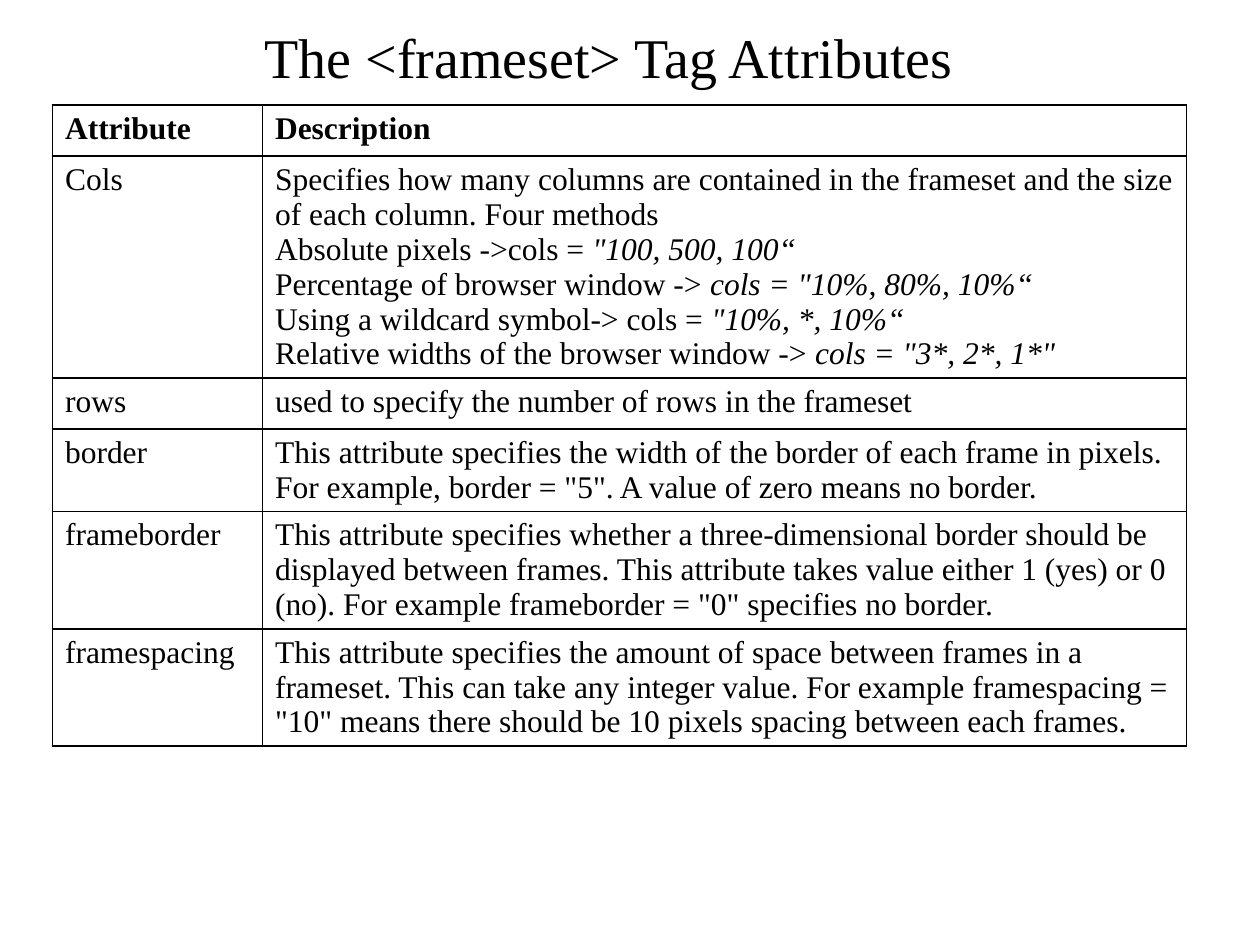
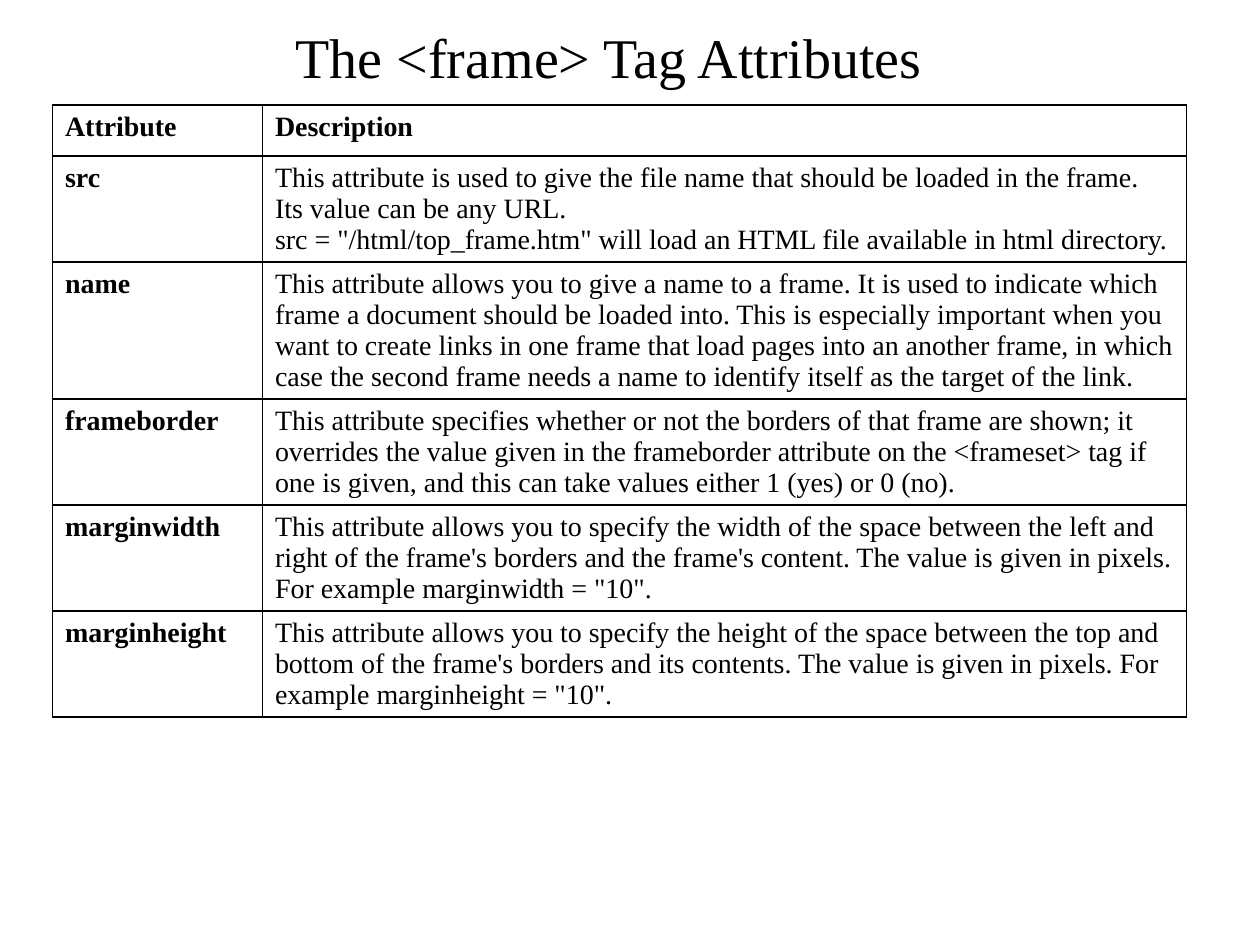
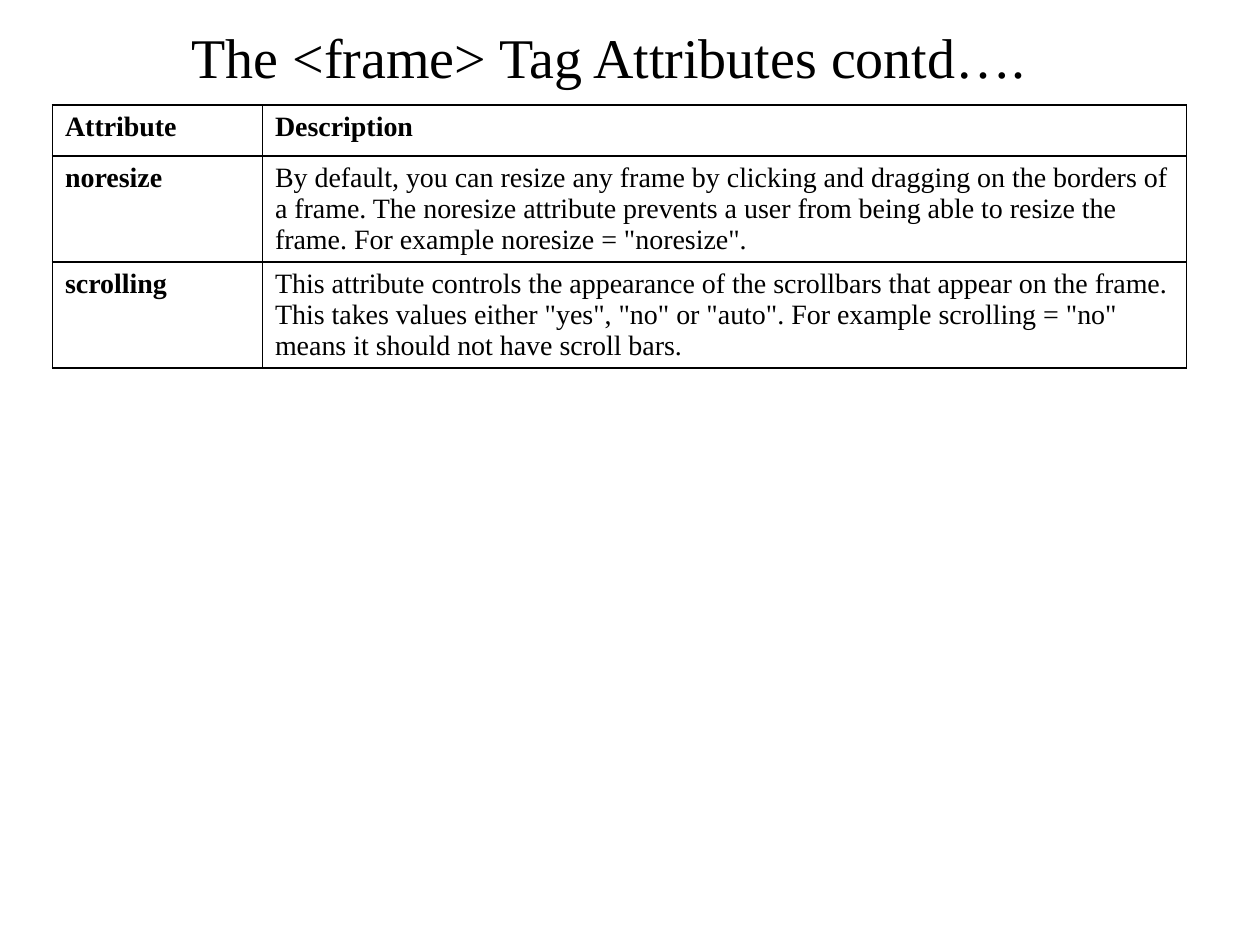
import pptx
import pptx.dml.color
import pptx.enum.text
import pptx.oxml
import pptx.oxml.ns
import pptx.util

Pt = pptx.util.Pt
COLORS = {"text": "000000", "border": "000000"}
FONT = "Times New Roman"
TITLE_SIZE = 32
TABLE_LEFT, TABLE_TOP = 30, 60
COLUMN_WIDTHS = (120, 528)
ROW_HEIGHT = 29.2
BORDER_WIDTH = 1
HEADINGS = ("Attribute", ["Description"])

# Each description is a list of paragraphs; text after "|" is italic
slides = [
    {
        "title": "The <frameset> Tag Attributes",
        "size": 18,
        "bold_names": False,
        "attributes": [
            ("Cols", [
                "Specifies how many columns are contained in the frameset and the size "
                "of each column. Four methods",
                'Absolute pixels ->cols = |"100, 500, 100“',
                'Percentage of browser window -> |cols = "10%, 80%, 10%“',
                'Using a wildcard symbol-> cols = |"10%, *, 10%“',
                'Relative widths of the browser window -> |cols = "3*, 2*, 1*"',
            ]),
            ("rows", ["used to specify the number of rows in the frameset"]),
            ("border", [
                "This attribute specifies the width of the border of each frame in pixels. "
                'For example, border = "5". A value of zero means no border.']),
            ("frameborder", [
                "This attribute specifies whether a three-dimensional border should be "
                "displayed between frames. This attribute takes value either 1 (yes) or 0 "
                '(no). For example frameborder = "0" specifies no border.']),
            ("framespacing", [
                "This attribute specifies the amount of space between frames in a "
                "frameset. This can take any integer value. For example framespacing = "
                '"10" means there should be 10 pixels spacing between each frames.']),
        ],
    },
    {
        "title": "The <frame> Tag Attributes",
        "size": 16,
        "bold_names": True,
        "attributes": [
            ("src", [
                "This attribute is used to give the file name that should be loaded in the "
                "frame. Its value can be any URL.",
                'src = "/html/top_frame.htm" will load an HTML file available in html '
                "directory.",
            ]),
            ("name", [
                "This attribute allows you to give a name to a frame. It is used to indicate "
                "which frame a document should be loaded into. This is especially important "
                "when you want to create links in one frame that load pages into an another "
                "frame, in which case the second frame needs a name to identify itself as "
                "the target of the link."]),
            ("frameborder", [
                "This attribute specifies whether or not the borders of that frame are "
                "shown; it overrides the value given in the frameborder attribute on the "
                "<frameset> tag if one is given, and this can take values either 1 (yes) "
                "or 0 (no)."]),
            ("marginwidth", [
                "This attribute allows you to specify the width of the space between the "
                "left and right of the frame's borders and the frame's content. The value "
                'is given in pixels. For example marginwidth = "10".']),
            ("marginheight", [
                "This attribute allows you to specify the height of the space between the "
                "top and bottom of the frame's borders and its contents. The value is given "
                'in pixels. For example marginheight = "10".']),
        ],
    },
    {
        "title": "The <frame> Tag Attributes contd….",
        "size": 16,
        "bold_names": True,
        "attributes": [
            ("noresize", [
                "By default, you can resize any frame by clicking and dragging on the "
                "borders of a frame. The noresize attribute prevents a user from being able "
                'to resize the frame. For example noresize = "noresize".']),
            ("scrolling", [
                "This attribute controls the appearance of the scrollbars that appear on "
                'the frame. This takes values either "yes", "no" or "auto". For example '
                'scrolling = "no" means it should not have scroll bars.']),
        ],
    },
]


def format_run(run, size, bold=False, italic=False):
    run.font.name = FONT
    run.font.size = Pt(size)
    run.font.bold = bold
    run.font.italic = italic
    run.font.color.rgb = pptx.dml.color.RGBColor.from_string(COLORS["text"])


def fill_cell(cell, paragraphs, size, bold):
    # Text
    cell.text_frame.text = "\n".join(text.replace("|", "") for text in paragraphs)
    for paragraph, text in zip(cell.text_frame.paragraphs, paragraphs):
        plain, _, example = text.partition("|")
        paragraph.text = plain
        format_run(paragraph.runs[0], size, bold)
        if example:
            example_run = paragraph.add_run()
            example_run.text = example
            format_run(example_run, size, bold, italic=True)
    # Borders, which must come before the fill
    properties = cell._tc.get_or_add_tcPr()
    for side in "LRTB":
        properties.append(pptx.oxml.parse_xml(
            f'<a:ln{side} {pptx.oxml.ns.nsdecls("a")} w="{Pt(BORDER_WIDTH)}">'
            f'<a:solidFill><a:srgbClr val="{COLORS["border"]}"/></a:solidFill>'
            f'</a:ln{side}>'))
    cell.fill.background()


presentation = pptx.Presentation()
presentation.slide_width, presentation.slide_height = Pt(720), Pt(540)
title_only = presentation.slide_layouts[5]

for content in slides:
    slide = presentation.slides.add_slide(title_only)

    # Title
    title = slide.shapes.title
    title.left, title.top, title.width, title.height = Pt(24), Pt(12), Pt(648), Pt(40)
    title.text_frame.text = content["title"]
    title.text_frame.auto_size = pptx.enum.text.MSO_AUTO_SIZE.NONE
    title.text_frame.vertical_anchor = pptx.enum.text.MSO_ANCHOR.MIDDLE
    heading = title.text_frame.paragraphs[0]
    heading.alignment = pptx.enum.text.PP_ALIGN.CENTER
    format_run(heading.runs[0], TITLE_SIZE)

    # Attribute table
    rows = [HEADINGS] + content["attributes"]
    attributes = slide.shapes.add_table(
        len(rows), len(COLUMN_WIDTHS), Pt(TABLE_LEFT), Pt(TABLE_TOP),
        Pt(sum(COLUMN_WIDTHS)), Pt(ROW_HEIGHT * len(rows))).table
    attributes.first_row = attributes.horz_banding = False
    for column, width in zip(attributes.columns, COLUMN_WIDTHS):
        column.width = Pt(width)
    for index, (name, description) in enumerate(rows):
        is_header = index == 0
        fill_cell(attributes.cell(index, 0), [name], content["size"],
                  is_header or content["bold_names"])
        fill_cell(attributes.cell(index, 1), description, content["size"], is_header)

presentation.save("out.pptx")
